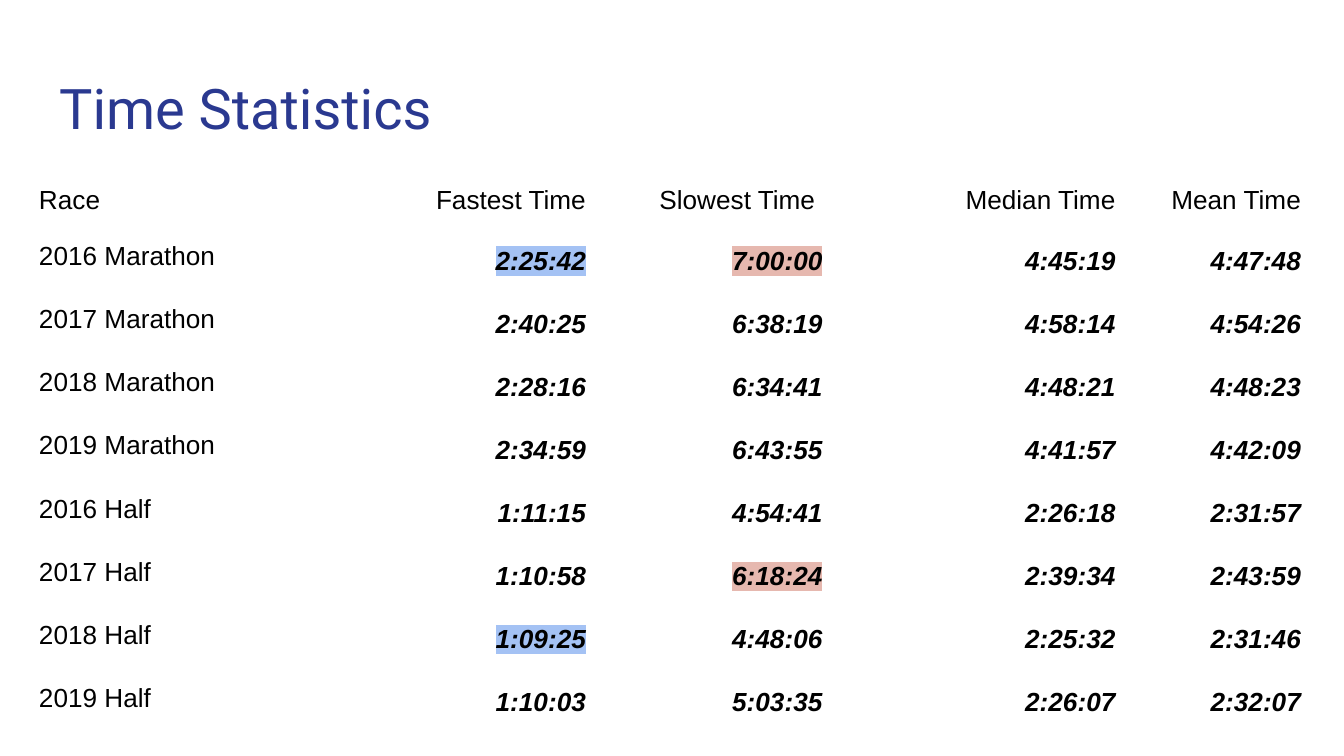
"""Builds the Time Statistics slide with a table of race times."""
from lxml import etree
from pptx import Presentation, util as u
from pptx.dml import color
from pptx.enum import text
from pptx.oxml import ns

TITLE = "Time Statistics"
HEADINGS = ["Race", "Fastest Time", "Slowest Time ", "Median Time", "Mean Time"]
RACES = [
    ["2016 Marathon", "2:25:42", "7:00:00", "4:45:19", "4:47:48"],
    ["2017 Marathon", "2:40:25", "6:38:19", "4:58:14", "4:54:26"],
    ["2018 Marathon", "2:28:16", "6:34:41", "4:48:21", "4:48:23"],
    ["2019 Marathon", "2:34:59", "6:43:55", "4:41:57", "4:42:09"],
    ["2016 Half", "1:11:15", "4:54:41", "2:26:18", "2:31:57"],
    ["2017 Half", "1:10:58", "6:18:24", "2:39:34", "2:43:59"],
    ["2018 Half", "1:09:25", "4:48:06", "2:25:32", "2:31:46"],
    ["2019 Half", "1:10:03", "5:03:35", "2:26:07", "2:32:07"],
]
HIGHLIGHTS = {
    "2:25:42": "A4C2F4", "1:09:25": "A4C2F4",
    "7:00:00": "E6B8AF", "6:18:24": "E6B8AF",
}
COLUMN_WIDTHS = [1.81, 2.46, 1.76, 2.18, 1.38]
HEADING_HEIGHT, RACE_HEIGHT = 0.42, 0.47


def paint(font, hex_color):
    font.color.rgb = color.RGBColor.from_string(hex_color)


def style(paragraph, face, size, hex_color, align):
    paragraph.alignment = align
    font = paragraph.runs[0].font
    font.name, font.size = face, u.Pt(size)
    paint(font, hex_color)
    return font


def set_margins(target):
    target.margin_left = target.margin_right = u.Inches(0.1)
    target.margin_top = target.margin_bottom = u.Inches(0.1)


def highlight(run, hex_color):
    mark = etree.Element(ns.qn("a:highlight"))
    etree.SubElement(mark, ns.qn("a:srgbClr"), val=hex_color)
    run._r.get_or_add_rPr().find(ns.qn("a:solidFill")).addnext(mark)


def add_title(slide):
    title = slide.shapes.title
    title.left, title.top = u.Inches(0.34), u.Inches(0.45)
    title.width, title.height = u.Inches(9.32), u.Inches(0.66)
    frame = title.text_frame
    frame.text = TITLE
    frame.auto_size = text.MSO_AUTO_SIZE.NONE
    frame.vertical_anchor = text.MSO_ANCHOR.TOP
    set_margins(frame)
    style(frame.paragraphs[0], "Roboto", 30, "2A3990", text.PP_ALIGN.LEFT)


def fill_cell(cell, content, is_time, is_label):
    cell.fill.background()
    set_margins(cell)
    cell.vertical_anchor = text.MSO_ANCHOR.TOP
    cell.text_frame.text = content
    paragraph = cell.text_frame.paragraphs[0]
    align = text.PP_ALIGN.LEFT if is_label else text.PP_ALIGN.RIGHT
    font = style(paragraph, "Arial", 14, "000000", align)
    font.bold = font.italic = is_time
    if is_time:
        paragraph.line_spacing = 1.15
    if content in HIGHLIGHTS:
        highlight(paragraph.runs[0], HIGHLIGHTS[content])


def add_times(slide):
    rows = [HEADINGS] + RACES
    heights = [HEADING_HEIGHT] + [RACE_HEIGHT] * len(RACES)
    times = slide.shapes.add_table(
        len(rows), len(HEADINGS), u.Inches(0.19), u.Inches(1.28),
        u.Inches(sum(COLUMN_WIDTHS)), u.Inches(sum(heights))).table
    times.first_row = times.horz_banding = False
    for column, width in zip(times.columns, COLUMN_WIDTHS):
        column.width = u.Inches(width)
    for r, (row, height) in enumerate(zip(rows, heights)):
        times.rows[r].height = u.Inches(height)
        for c, content in enumerate(row):
            fill_cell(times.cell(r, c), content, r > 0 and c > 0, c == 0)


def main():
    deck = Presentation()
    deck.slide_width = u.Inches(10)
    deck.slide_height = deck.slide_width * 9 // 16
    slide = deck.slides.add_slide(deck.slide_layouts[5])
    add_title(slide)
    add_times(slide)
    deck.save("out.pptx")


if __name__ == "__main__":
    main()
